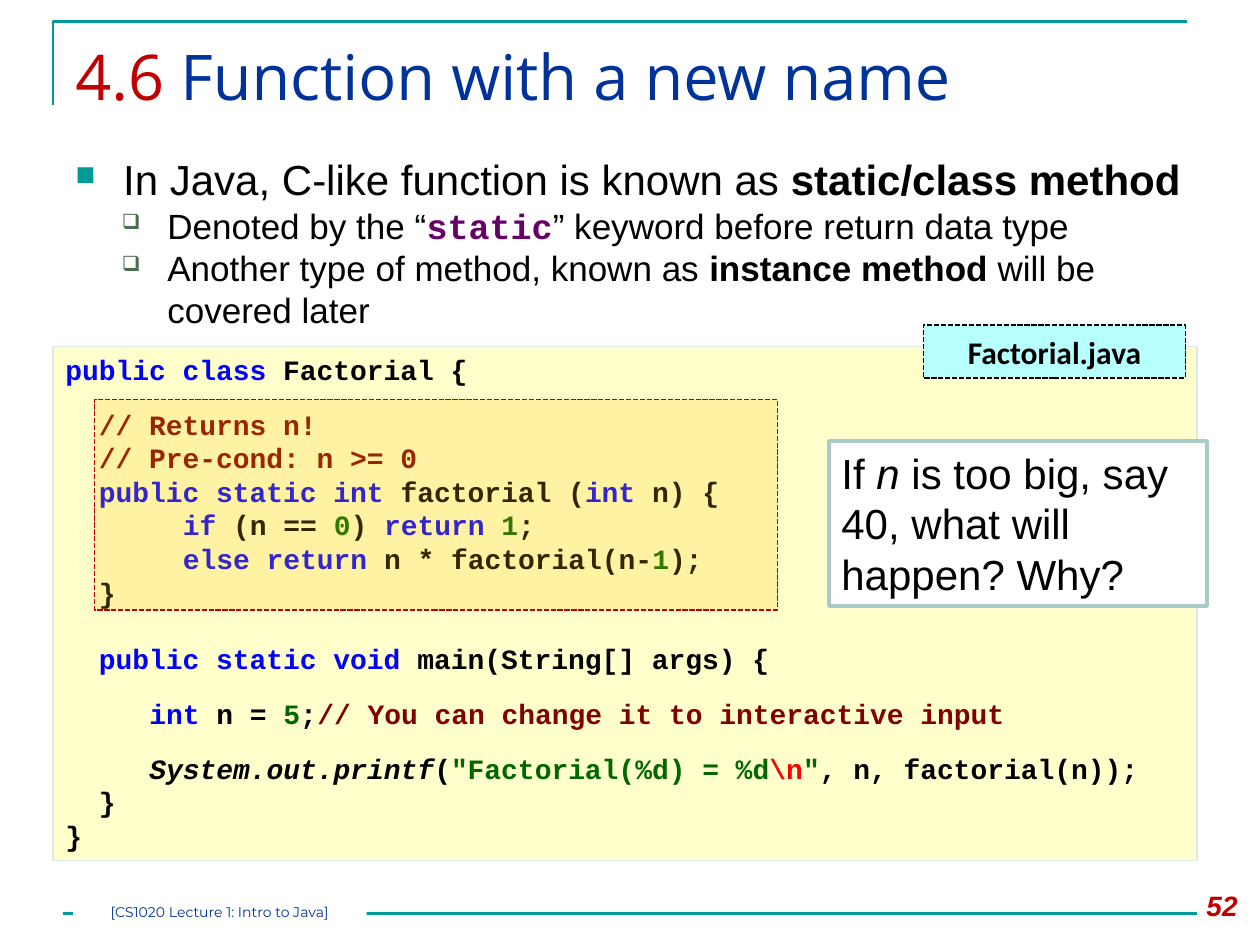
from lxml import etree
from pptx import Presentation
from pptx.dml.color import RGBColor
from pptx.enum.dml import MSO_LINE
from pptx.enum.shapes import MSO_CONNECTOR, MSO_SHAPE
from pptx.enum.text import MSO_ANCHOR, PP_ALIGN
from pptx.oxml.ns import qn
from pptx.util import Inches, Pt

RECTANGLE = MSO_SHAPE.RECTANGLE
DASHED = MSO_LINE.SQUARE_DOT
CENTER, RIGHT = PP_ALIGN.CENTER, PP_ALIGN.RIGHT
MIDDLE = MSO_ANCHOR.MIDDLE

TEAL, NAVY, DARK_RED, BLACK, WHITE = "009999", "003399", "C00000", "000000", "FFFFFF"
KEYWORD, COMMENT, LITERAL, ESCAPE = "0000FF", "800000", "006600", "FF0000"
CHARACTER_WIDTH = 16 * 0.6 / 72  # inches, 16 pt monospaced
COMMENT_COLUMN = 18

BOLD = {"bold": True}
ITALIC = {"italic": True}

TITLE = [("4.6", {"color": DARK_RED}), (" Function with a new name", {})]

# (level, runs)
BULLETS = [
    (0, [("In Java, C-like function is known as ", {}), ("static/class method", BOLD)]),
    (1, [("Denoted by the “", {}),
         ("static", {"font": "Courier New", "color": "660066", "bold": True}),
         ("” keyword before return data type", {})]),
    (1, [("Another type of method, known as ", {}), ("instance method ", BOLD),
         ("will be covered later", {})]),
]
# size, left margin, hanging indent, character, bullet colour, bullet percent
BULLET_STYLES = [
    (24, 0.38, 0.38, "■", TEAL, 65),
    (20, 0.73, 0.36, "❑", "4C6D4E", 60),
]

# (indent in characters, points before, runs of text and colour)
CODE = [
    (0, 0, [("public class ", KEYWORD), ("Factorial {", BLACK)]),
    (2, 12, [("// Returns n!", COMMENT)]),
    (2, 0, [("// Pre-cond: n >= 0", COMMENT)]),
    (2, 0, [("public static int ", KEYWORD), ("factorial (", BLACK),
            ("int", KEYWORD), (" n) {", BLACK)]),
    (7, 0, [("if", KEYWORD), (" (n == ", BLACK), ("0", LITERAL), (") ", BLACK),
            ("return ", KEYWORD), ("1", LITERAL), (";", BLACK)]),
    (7, 0, [("else return", KEYWORD), (" n * factorial(n-", BLACK),
            ("1", LITERAL), (");", BLACK)]),
    (2, 0, [("}", BLACK)]),
    (2, 19, [("public static void ", KEYWORD), ("main(String[] args) {", BLACK)]),
    (5, 12, [("int", KEYWORD), (" n = ", BLACK), ("5", LITERAL), (";\t", BLACK),
             ("// You can change it to interactive input", COMMENT)]),
    (5, 12, [("System.out.printf", BLACK, ITALIC), ("(", BLACK),
             ('"Factorial(%d) = %d', LITERAL), ("\\n", ESCAPE), ('"', LITERAL),
             (", n, factorial(n));", BLACK)]),
    (2, 0, [("}", BLACK)]),
    (0, 0, [("}", BLACK)]),
]

QUESTION = [("If ", {}), ("n", ITALIC), (" is too big, say 40, what will happen? Why?", {})]


def rgb(value):
    return RGBColor.from_string(value)


def add_run(paragraph, text, size=16, font="Arial", color=BLACK, bold=False, italic=False):
    run = paragraph.add_run()
    run.text = text
    run.font.size, run.font.name = Pt(size), font
    run.font.bold, run.font.italic = bold, italic
    run.font.color.rgb = rgb(color)


def add_runs(paragraph, runs, align=PP_ALIGN.LEFT, **base):
    paragraph.alignment = align
    for text, changes in runs:
        add_run(paragraph, text, **{**base, **changes})


def add_text_box(slide, *box):
    frame = slide.shapes.add_textbox(*map(Inches, box)).text_frame
    frame.word_wrap = True
    return frame


def add_box(slide, *box, fill, line=None, width=1, dash=None, anchor=MSO_ANCHOR.TOP):
    shape = slide.shapes.add_shape(RECTANGLE, *map(Inches, box))
    shape.shadow.inherit = False
    shape.fill.solid()
    shape.fill.fore_color.rgb = rgb(fill)
    if line:
        shape.line.color.rgb = rgb(line)
        shape.line.width = Pt(width)
        if dash:
            shape.line.dash_style = dash
    else:
        shape.line.fill.background()
    shape.text_frame.word_wrap = True
    shape.text_frame.vertical_anchor = anchor
    return shape


def next_paragraph(frame, index):
    return frame.add_paragraph() if index else frame.paragraphs[0]


def set_bullet(paragraph, left, hanging, character, color, percent):
    properties = paragraph._p.get_or_add_pPr()
    properties.set("marL", str(Inches(left)))
    properties.set("indent", str(-Inches(hanging)))
    bullet_color = etree.SubElement(properties, qn("a:buClr"))
    etree.SubElement(bullet_color, qn("a:srgbClr"), val=color)
    etree.SubElement(properties, qn("a:buSzPct"), val=str(percent * 1000))
    etree.SubElement(properties, qn("a:buChar"), char=character)


def set_code_indent(paragraph, characters):
    """Indent the first line and put a tab stop at the comment column."""
    properties = paragraph._p.get_or_add_pPr()
    properties.set("marL", "0")
    properties.set("indent", str(Inches(characters * CHARACTER_WIDTH)))
    tabs = etree.SubElement(properties, qn("a:tabLst"))
    etree.SubElement(tabs, qn("a:tab"), algn="l",
                     pos=str(Inches(COMMENT_COLUMN * CHARACTER_WIDTH)))


def add_frame_lines(slide):
    builder = slide.shapes.build_freeform(Inches(0.42), Inches(0.83))
    builder.add_line_segments(
        [(Inches(0.42), Inches(0.17)), (Inches(9.42), Inches(0.17))], close=False)
    corner = builder.convert_to_shape()
    corner.shadow.inherit = False
    corner.fill.background()
    rule = slide.shapes.add_connector(
        MSO_CONNECTOR.STRAIGHT, Inches(0.5), Inches(7.25), Inches(9.5), Inches(7.25))
    etree.SubElement(rule._element.spPr, qn("a:effectLst"))
    for shape in (corner, rule):
        shape.line.color.rgb = rgb(TEAL)
        shape.line.width = Pt(1.5)


def add_bullets(slide):
    frame = add_text_box(slide, 0.5, 1.17, 9, 1.67)
    for index, (level, runs) in enumerate(BULLETS):
        size, *bullet = BULLET_STYLES[level]
        paragraph = next_paragraph(frame, index)
        paragraph.level = level
        add_runs(paragraph, runs, size=size)
        set_bullet(paragraph, *bullet)


def add_code(slide):
    frame = add_box(slide, 0.42, 2.75, 9.08, 4.08, fill="FFFFCC",
                    line="DDEAEA", width=0.75).text_frame
    for index, (indent, before, runs) in enumerate(CODE):
        paragraph = next_paragraph(frame, index)
        paragraph.space_before = Pt(before)
        styled = [(text, {"color": color, **(extra[0] if extra else {})})
                  for text, color, *extra in runs]
        add_runs(paragraph, styled, font="Courier New", bold=True)
        set_code_indent(paragraph, indent)


def add_highlight(slide):
    highlight = add_box(slide, 0.75, 3.17, 5.42, 1.67, fill="FFC000",
                        line=DARK_RED, dash=DASHED)
    color = highlight._element.spPr.find(qn("a:solidFill")).find(qn("a:srgbClr"))
    etree.SubElement(color, qn("a:alpha"), val="20000")


def main():
    presentation = Presentation()
    presentation.slide_width, presentation.slide_height = Inches(10), Inches(7.5)
    slide = presentation.slides.add_slide(presentation.slide_layouts[6])

    add_frame_lines(slide)
    title = add_text_box(slide, 0.5, 0.25, 9, 0.86)
    add_runs(title.paragraphs[0], TITLE, size=36, font="Open Sans", color=NAVY)
    add_bullets(slide)
    number = add_text_box(slide, 9.25, 7, 0.67, 0.4)
    add_runs(number.paragraphs[0], [("52", {})], align=RIGHT,
             color=DARK_RED, bold=True, italic=True)

    add_code(slide)
    add_highlight(slide)
    file_label = add_box(slide, 7.33, 2.58, 2.08, 0.42, fill="B8FFFF",
                         line=BLACK, dash=DASHED, anchor=MIDDLE).text_frame
    add_runs(file_label.paragraphs[0], [("Factorial.java", BOLD)], align=CENTER,
             size=18, font="Calibri")
    question = add_box(slide, 6.58, 3.5, 3, 1.31, fill=WHITE, line="AACACA", width=2)
    add_runs(question.text_frame.paragraphs[0], QUESTION, size=24)

    footer = add_box(slide, 0.58, 7.17, 2.33, 0.17, fill=WHITE).text_frame
    footer.margin_left = footer.margin_right = footer.margin_top = footer.margin_bottom = 0
    add_runs(footer.paragraphs[0], [("[CS1020 Lecture 1: Intro to Java]", {})],
             align=CENTER, size=8, font="Montserrat", color=NAVY)

    presentation.save("out.pptx")


if __name__ == "__main__":
    main()
